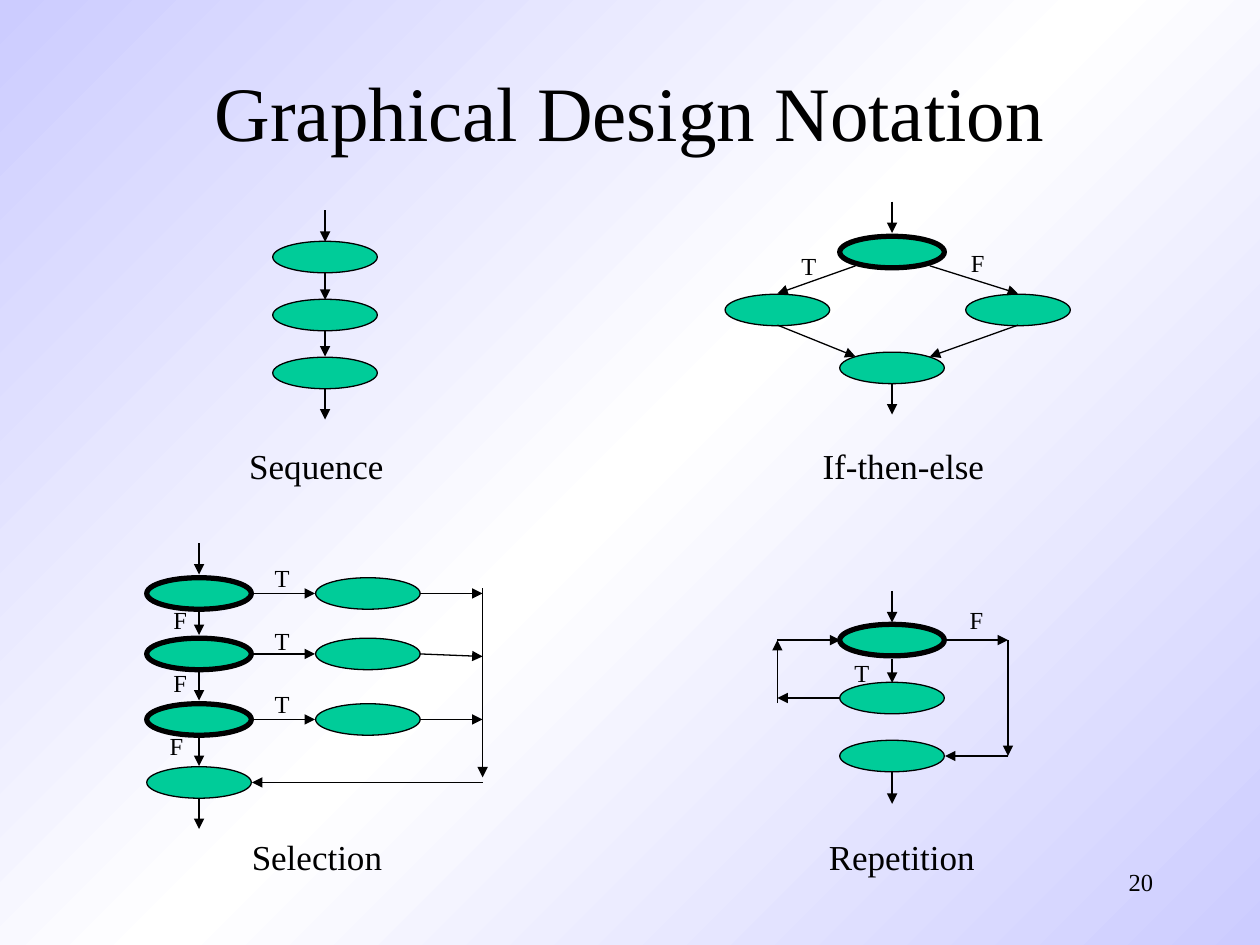
import pptx
import pptx.dml.color
import pptx.enum.shapes
import pptx.enum.text
import pptx.oxml.ns
import pptx.util
from lxml import etree

Inches = pptx.util.Inches
Pt = pptx.util.Pt
qn = pptx.oxml.ns.qn
Align = pptx.enum.text.PP_ALIGN
AutoSize = pptx.enum.text.MSO_AUTO_SIZE

COLORS = {"ink": "000000", "node": "00CC99", "edge": "CCCCFF", "middle": "FFFFFF"}


def rgb(name):
    return pptx.dml.color.RGBColor.from_string(COLORS[name])


class FlowSlide:
    font = "Times New Roman"
    node_width = 0.83
    node_height = 0.25
    thin = 0.75
    thick = 3

    def __init__(self, slide):
        self.slide = slide

    def background(self, stops, angle):
        """Fill the background with (percent, colour name) stops; angle is counter-clockwise."""
        fill = self.slide.background.fill
        fill.gradient()
        fill.gradient_angle = angle
        stop_list = self.slide.element.find(".//" + qn("a:gsLst"))
        for old_stop in list(stop_list):
            stop_list.remove(old_stop)
        for percent, color in stops:
            stop = etree.SubElement(stop_list, qn("a:gs"), pos=str(percent * 1000))
            etree.SubElement(stop, qn("a:srgbClr"), val=COLORS[color])

    def text(self, text, left, top, width, height, size=14, align=Align.CENTER,
             anchor=pptx.enum.text.MSO_ANCHOR.TOP, wrap=False):
        """Add a text box; one that does not wrap grows to fit its text."""
        box = self.slide.shapes.add_textbox(
            Inches(left), Inches(top), Inches(width), Inches(height))
        frame = box.text_frame
        frame.word_wrap = wrap
        frame.auto_size = AutoSize.NONE if wrap else AutoSize.SHAPE_TO_FIT_TEXT
        frame.vertical_anchor = anchor
        para = frame.paragraphs[0]
        para.alignment = align
        span = para.add_run()
        span.text = text
        span.font.name = self.font
        span.font.size = Pt(size)
        span.font.color.rgb = rgb("ink")

    def node(self, x, y, decision=False):
        """Draw an ellipse centred on x, y; a decision has a thick outline."""
        ellipse = self.slide.shapes.add_shape(
            pptx.enum.shapes.MSO_SHAPE.OVAL,
            Inches(x - self.node_width / 2), Inches(y - self.node_height / 2),
            Inches(self.node_width), Inches(self.node_height))
        ellipse.shadow.inherit = False
        ellipse.fill.solid()
        ellipse.fill.fore_color.rgb = rgb("node")
        ellipse.line.color.rgb = rgb("ink")
        ellipse.line.width = Pt(self.thick if decision else self.thin)

    def arrow(self, x1, y1, x2, y2):
        connector = self.slide.shapes.add_connector(
            pptx.enum.shapes.MSO_CONNECTOR.STRAIGHT,
            Inches(x1), Inches(y1), Inches(x2), Inches(y2))
        connector.line.color.rgb = rgb("ink")
        connector.line.width = Pt(self.thin)
        properties = connector.element.spPr
        line = properties.find(qn("a:ln"))
        etree.SubElement(line, qn("a:tailEnd"), type="triangle")
        etree.SubElement(properties, qn("a:effectLst"))

    def down_arrows(self, x, spans):
        for start, end in spans:
            self.arrow(x, start, x, end)

    def branch_labels(self, label, places):
        for left, top in places:
            self.text(label, left, top, 0.32, 0.34)


def draw_sequence(flow):
    x = 2.58
    for y in (2.04, 2.5, 2.96):
        flow.node(x, y)
    flow.down_arrows(x, [(1.67, 1.92), (2.17, 2.38), (2.62, 2.83), (3.08, 3.33)])


def draw_if_then_else(flow):
    x = 7.08
    flow.node(x, 2, decision=True)
    flow.node(x, 2.92)
    flow.down_arrows(x, [(1.6, 1.85), (3.04, 3.29)])
    for branch_x, inner_x in ((6.17, 6.79), (8.08, 7.38)):
        flow.node(branch_x, 2.46)
        flow.arrow(inner_x, 2.11, branch_x, 2.33)
        flow.arrow(branch_x, 2.58, inner_x, 2.83)
    flow.branch_labels("T", [(6.26, 1.94)])
    flow.branch_labels("F", [(7.6, 1.92)])


def draw_selection(flow):
    x, case_x, exit_x, end_y = 1.58, 2.92, 3.83, 6.21
    for y, exit_y in ((4.71, 4.71), (5.19, 5.21), (5.71, 5.71)):
        flow.node(x, y, decision=True)
        flow.node(case_x, y)
        flow.arrow(2.02, y, 2.5, y)
        flow.arrow(3.33, y, exit_x, exit_y)
    flow.node(x, end_y)
    flow.down_arrows(x, [(4.31, 4.56), (4.85, 5.04), (5.33, 5.56),
                         (5.85, 6.08), (6.33, 6.58)])
    flow.arrow(exit_x, 4.67, exit_x, 6.17)
    flow.arrow(exit_x, end_y, 2, end_y)
    flow.branch_labels("T", [(2.08, 4.42), (2.08, 4.92), (2.08, 5.42)])
    flow.branch_labels("F", [(1.27, 4.75), (1.27, 5.25), (1.24, 5.75)])


def draw_repetition(flow):
    x, test_y, body_y, end_y = 7.08, 5.08, 5.54, 6
    left, right, loop_x, exit_x = 6.67, 7.5, 6.17, 8
    flow.node(x, test_y, decision=True)
    flow.node(x, body_y)
    flow.node(x, end_y)
    flow.down_arrows(x, [(4.69, 4.94), (5.23, 5.42), (6.12, 6.38)])
    flow.arrow(left, body_y, loop_x, body_y)
    flow.arrow(loop_x, 5.58, loop_x, test_y)
    flow.arrow(loop_x, test_y, left, test_y)
    flow.arrow(right, test_y, exit_x, test_y)
    flow.arrow(exit_x, test_y, exit_x, end_y)
    flow.arrow(exit_x, end_y, right, end_y)
    flow.branch_labels("T", [(6.68, 5.17)])
    flow.branch_labels("F", [(7.59, 4.75)])


def main():
    deck = pptx.Presentation()
    deck.slide_width = Inches(10)
    deck.slide_height = Inches(7.5)
    flow = FlowSlide(deck.slides.add_slide(deck.slide_layouts[6]))
    flow.background([(0, "edge"), (50, "middle"), (100, "edge")], angle=315)

    flow.text("Graphical Design Notation", 0.75, 0.25, 8.5, 1.25, size=44,
              anchor=pptx.enum.text.MSO_ANCHOR.MIDDLE, wrap=True)
    for caption, left, top, width in (
            ("Sequence", 1.88, 3.48, 1.3), ("If-then-else", 6.43, 3.48, 1.5),
            ("Selection", 1.9, 6.58, 1.27), ("Repetition", 6.48, 6.58, 1.4)):
        flow.text(caption, left, top, width, 0.44, size=20, align=Align.LEFT)
    flow.text("20", 7.17, 6.83, 2.08, 0.5, align=Align.RIGHT, wrap=True)

    draw_sequence(flow)
    draw_if_then_else(flow)
    draw_selection(flow)
    draw_repetition(flow)
    deck.save("out.pptx")


if __name__ == "__main__":
    main()
